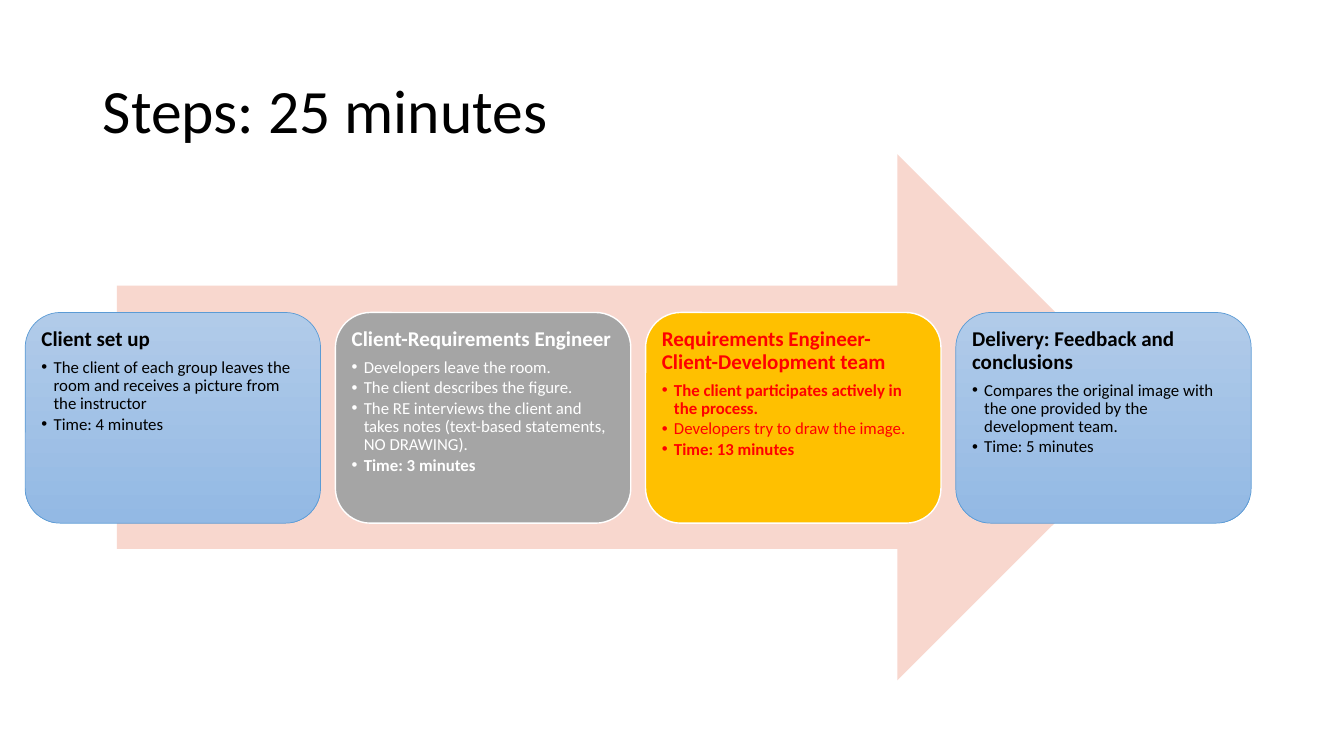
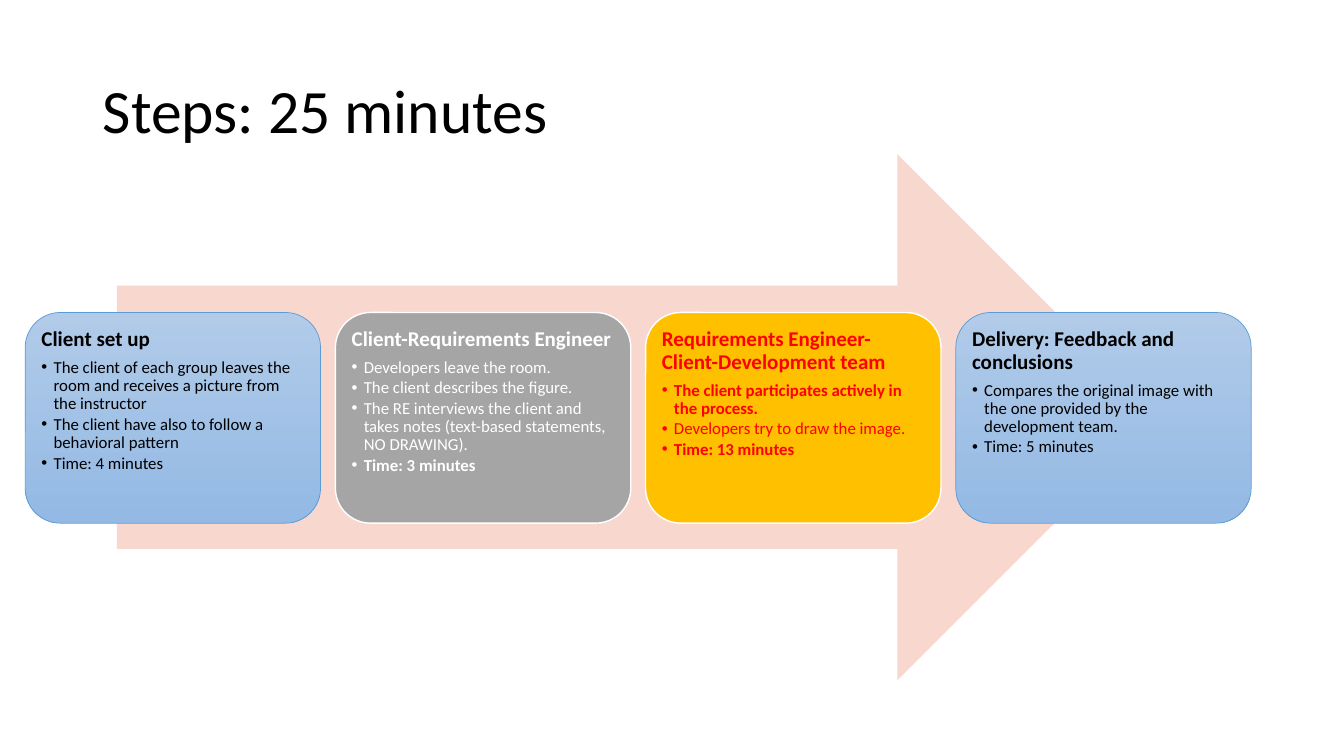
from lxml.etree import SubElement
from pptx import Presentation
from pptx.dml.color import RGBColor
from pptx.enum.shapes import MSO_SHAPE
from pptx.enum.text import MSO_ANCHOR, PP_ALIGN
from pptx.oxml.ns import qn
from pptx.util import Inches, Pt

# Shared style
FONT = "Calibri"
BLACK, WHITE, RED = "000000", "FFFFFF", "FF0000"
ARROW_PINK, GRAY, AMBER = "F8D7CE", "A5A5A5", "FFC000"
BLUE_TOP, BLUE_BOTTOM, BLUE_LINE = "B1CBE9", "93B9E4", "5B9BD5"
LINE_SPACING = 0.9
BULLET_INDENT = Inches(0.12)

# Boxes: left, top, width, height in inches
TITLE_BOX = (0.92, 0.4, 11.5, 1.45)
ARROW_BOX = (1.16, 1.53, 10.35, 5.22)
CARDS_BOX = (0.25, 3.1, 12.16, 2.09)
CARD_WIDTH = 2.93

# Card styles: fill colours (two make a gradient), line colour, line width, text colour
BLUE_CARD = ((BLUE_TOP, BLUE_BOTTOM), BLUE_LINE, 0.5, BLACK)
GRAY_CARD = ((GRAY,), WHITE, 1, WHITE)
AMBER_CARD = ((AMBER,), WHITE, 1, RED)

# Steps: style, heading, bullets as (text, bold)
INTERVIEW = (GRAY_CARD, "Client-Requirements Engineer", [
    ("Developers leave the room.", False),
    ("The client describes the figure.", False),
    ("The RE interviews the client and takes notes "
     "(text-based statements, NO DRAWING).", False),
    ("Time: 3 minutes", True),
])
DRAWING = (AMBER_CARD, "Requirements Engineer-Client-Development team", [
    ("The client participates actively in the process.", True),
    ("Developers try to draw the image.", False),
    ("Time: 13 minutes", True),
])
DELIVERY = (BLUE_CARD, "Delivery: Feedback and conclusions", [
    ("Compares the original image with the one provided by the development team.", False),
    ("Time: 5 minutes", False),
])


def color(hex_string):
    return RGBColor.from_string(hex_string)


def place(shape, box):
    shape.left, shape.top, shape.width, shape.height = map(Inches, box)


def style_paragraph(paragraph, size, text_color, bold=False, space_after=0):
    paragraph.alignment = PP_ALIGN.LEFT
    paragraph.line_spacing = LINE_SPACING
    paragraph.space_before = Pt(0)
    paragraph.space_after = Pt(size * space_after)
    for run in paragraph.runs:
        run.font.name = FONT
        run.font.size = Pt(size)
        run.font.bold = bold
        run.font.color.rgb = color(text_color)


def add_bullet(paragraph):
    paragraph.level = 1
    properties = paragraph._p.get_or_add_pPr()
    properties.set("marL", str(BULLET_INDENT))
    properties.set("indent", str(-BULLET_INDENT))
    SubElement(properties, qn("a:buFont")).set("typeface", "Arial")
    SubElement(properties, qn("a:buChar")).set("char", "\u2022")


def add_title(slide, text, box):
    title = slide.shapes.title
    place(title, box)
    text_frame = title.text_frame
    text_frame.text = text
    text_frame.vertical_anchor = MSO_ANCHOR.MIDDLE
    style_paragraph(text_frame.paragraphs[0], 44, BLACK)


def add_arrow(slide, box):
    arrow = slide.shapes.add_shape(MSO_SHAPE.RIGHT_ARROW, *map(Inches, box))
    arrow.shadow.inherit = False
    arrow.fill.solid()
    arrow.fill.fore_color.rgb = color(ARROW_PINK)
    arrow.line.fill.background()


def add_card(slide, step, box):
    (fills, line_color, line_width, text_color), heading, bullets = step
    card = slide.shapes.add_shape(MSO_SHAPE.ROUNDED_RECTANGLE, *map(Inches, box))
    card.shadow.inherit = False
    card.line.color.rgb = color(line_color)
    card.line.width = Pt(line_width)
    if len(fills) == 1:
        card.fill.solid()
        card.fill.fore_color.rgb = color(fills[0])
    else:
        card.fill.gradient()
        card.fill.gradient_angle = 270
        for stop, stop_color in zip(card.fill.gradient_stops, fills):
            stop.color.rgb = color(stop_color)

    # Heading and bullets
    text_frame = card.text_frame
    text_frame.word_wrap = True
    text_frame.vertical_anchor = MSO_ANCHOR.TOP
    text_frame.margin_left = text_frame.margin_right = Inches(0.06)
    text_frame.margin_top = text_frame.margin_bottom = Inches(0.06)
    text_frame.text = heading
    style_paragraph(text_frame.paragraphs[0], 15, text_color, True, 0.35)
    for text, bold in bullets:
        paragraph = text_frame.add_paragraph()
        paragraph.text = text
        style_paragraph(paragraph, 12, text_color, bold, 0.15)
        add_bullet(paragraph)


def add_cards(slide, steps, box):
    left, top, width, height = box
    pitch = (width - CARD_WIDTH) / (len(steps) - 1)
    for index, step in enumerate(steps):
        add_card(slide, step, (left + index * pitch, top, CARD_WIDTH, height))


def add_steps_slide(presentation, setup_bullets):
    slide = presentation.slides.add_slide(presentation.slide_layouts[5])
    setup = (BLUE_CARD, "Client set up", [(text, False) for text in setup_bullets])
    add_title(slide, "Steps: 25 minutes", TITLE_BOX)
    add_arrow(slide, ARROW_BOX)
    add_cards(slide, [setup, INTERVIEW, DRAWING, DELIVERY], CARDS_BOX)


presentation = Presentation()
presentation.slide_width = Inches(13.33)
presentation.slide_height = Inches(7.5)

# The second slide adds one task to the client's set up
leave_room = "The client of each group leaves the room and receives a picture from the instructor"
behavior = "The client have also to follow a behavioral pattern"
setup_time = "Time: 4 minutes"
add_steps_slide(presentation, [leave_room, setup_time])
add_steps_slide(presentation, [leave_room, behavior, setup_time])

presentation.save("out.pptx")
